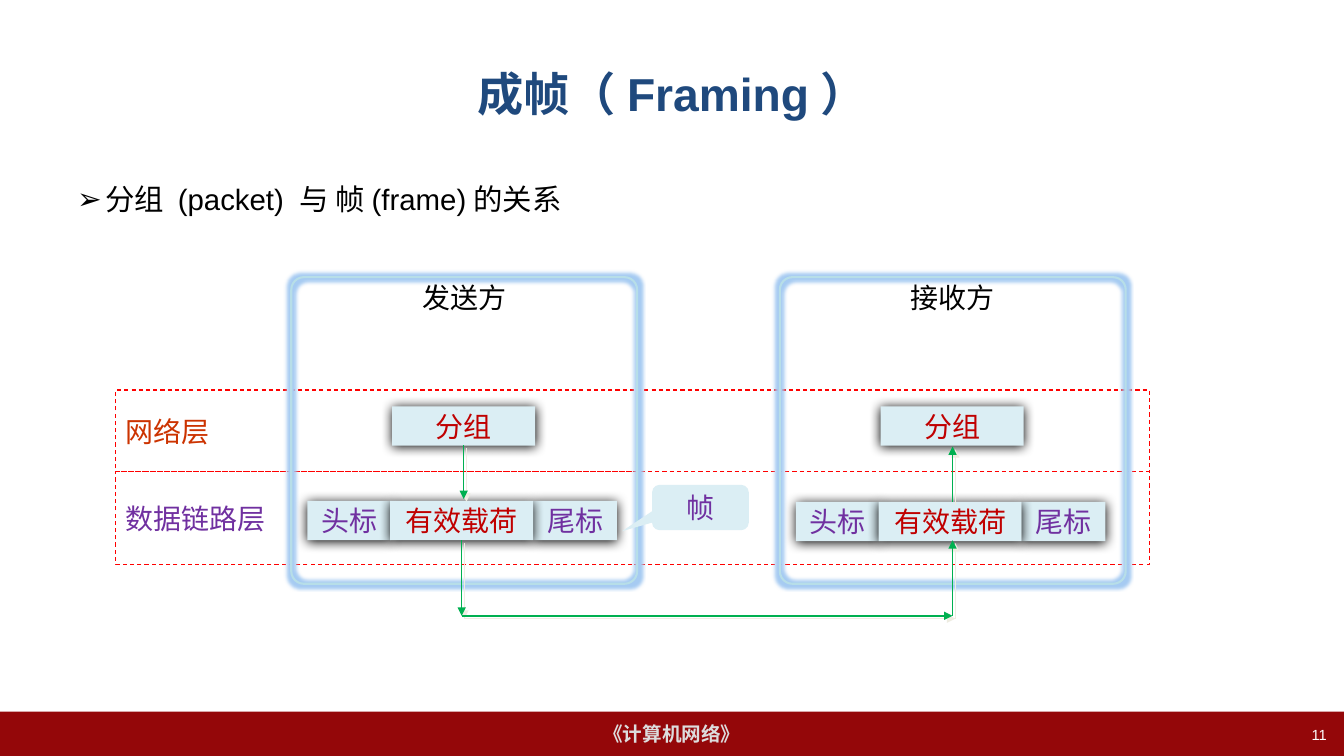
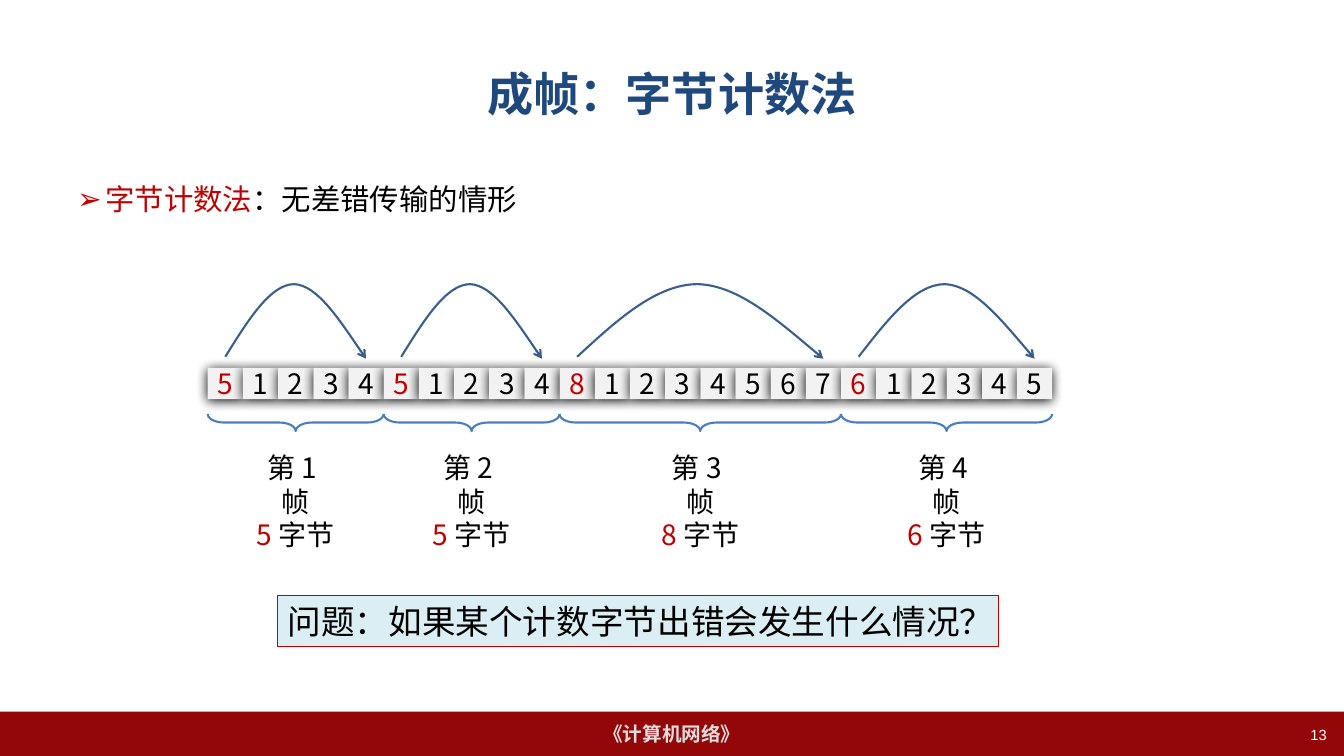
from lxml.etree import SubElement
from pptx import Presentation
from pptx.dml.color import RGBColor
from pptx.enum.dml import MSO_LINE
from pptx.enum.shapes import MSO_CONNECTOR, MSO_SHAPE
from pptx.enum.text import MSO_ANCHOR, PP_ALIGN
from pptx.oxml.ns import qn
from pptx.util import Pt

WIDE, HIGH = 960, 540
SANS, HAN = "Arial", "Noto Sans CJK SC"
BLACK, WHITE, RED, PURPLE = "000000", "FFFFFF", "C00000", "7030A0"
NAVY, MAROON, SILVER, ORANGE = "1F497D", "940709", "DDDDDD", "CC3300"
ICE, GREY, GREEN, BLUE = "DBEEF4", "F2F2F2", "00B050", "4B7EBC"
INSET = (7.2, 3.6, 7.2, 3.6)
LEFT, MID, RIGHT = PP_ALIGN.LEFT, PP_ALIGN.CENTER, PP_ALIGN.RIGHT


def hue(code):
    return RGBColor.from_string(code)


def emu(value):
    return str(int(Pt(value)))


def effect(shape, kind, color, **sizes):
    """Put one glow or outer shadow on a shape or connector."""
    props = shape._element.spPr
    box = props.find(qn("a:effectLst"))
    if box is None:
        box = SubElement(props, qn("a:effectLst"))
    item = SubElement(box, qn("a:" + kind), **sizes)
    SubElement(item, qn("a:srgbClr"), val=color)


class Deck:
    def __init__(self):
        self.file = Presentation()
        self.file.slide_width, self.file.slide_height = Pt(WIDE), Pt(HIGH)

    def page(self, title, number, point):
        """Start a slide with its band, title, bullet and number."""
        self.slide = self.file.slides.add_slide(self.file.slide_layouts[6])
        self.shapes = self.slide.shapes
        self.box((0, 508.3, WIDE, 31.7), [[("《计算机网络》", SILVER)]], MAROON,
                 size=14, font=SANS, bold=True)
        self.text((48, 21.6, 864, 90), [[(title, NAVY)]], 33, SANS, MID, True,
                  MSO_ANCHOR.MIDDLE)
        self.bullet((48, 126, 864, 356.4), point)
        self.text((730.8, 514.8, 223.9, 25.2), [[(str(number), WHITE)]], 10.5,
                  SANS, RIGHT)

    def label(self, shape, paras, size, font, align, bold=False,
              anchor=MSO_ANCHOR.TOP, inset=INSET):
        frame = shape.text_frame
        frame.word_wrap, frame.vertical_anchor = True, anchor
        (frame.margin_left, frame.margin_top,
         frame.margin_right, frame.margin_bottom) = map(Pt, inset)
        for i, runs in enumerate(paras):
            para = frame.add_paragraph() if i else frame.paragraphs[0]
            para.alignment = align
            for words, color in runs:
                run = para.add_run()
                run.text = words
                face = run.font
                face.size, face.bold, face.name = Pt(size), bold, font
                face.color.rgb = hue(color)
                SubElement(run._r.get_or_add_rPr(), qn("a:ea"), typeface=HAN)

    def text(self, area, paras, size=20, font=HAN, align=MID, bold=False,
             anchor=MSO_ANCHOR.TOP):
        shape = self.shapes.add_textbox(*map(Pt, area))
        self.label(shape, paras, size, font, align, bold, anchor)
        return shape

    def bullet(self, area, runs):
        shape = self.text(area, [runs], 21, SANS, LEFT)
        props = shape.text_frame.paragraphs[0]._p.get_or_add_pPr()
        props.set("marL", emu(20.2))
        props.set("indent", emu(-20.2))
        SubElement(props, qn("a:buFont"), typeface=SANS)
        SubElement(props, qn("a:buChar"), char="➢")

    def box(self, area, paras=(), fill=None, line=None, width=0.75,
            kind=MSO_SHAPE.RECTANGLE, adjust=(), size=20, font=HAN, align=MID,
            bold=False, anchor=MSO_ANCHOR.MIDDLE, inset=INSET):
        shape = self.shapes.add_shape(kind, *map(Pt, area))
        shape.shadow.inherit = False
        for i, value in enumerate(adjust):
            shape.adjustments[i] = value
        if fill:
            shape.fill.solid()
            shape.fill.fore_color.rgb = hue(fill)
        else:
            shape.fill.background()
        if line:
            self.stroke(shape, line, width)
        else:
            shape.line.fill.background()
        self.label(shape, paras, size, font, align, bold, anchor, inset)
        return shape

    def tile(self, area, words, color, fill=ICE):
        shape = self.box(area, [[(words, color)]], fill, inset=(0, 0, 0, 0))
        effect(shape, "outerShdw", BLACK, blurRad=emu(8.5), dist=emu(1),
               dir="5400000", algn="t", rotWithShape="0")

    def stroke(self, shape, color, width, head=None):
        shape.line.color.rgb = hue(color)
        shape.line.width = Pt(width)
        if head:
            line = shape._element.spPr.find(qn("a:ln"))
            SubElement(line, qn("a:tailEnd"), type=head)

    def arrow(self, start, end):
        line = self.shapes.add_connector(MSO_CONNECTOR.STRAIGHT,
                                         *map(Pt, start + end))
        self.stroke(line, GREEN, 1, "triangle")
        effect(line, "outerShdw", "EEECE1", dist=emu(2.8), dir="2700000",
               algn="ctr", rotWithShape="0")

    def arc(self, left, right):
        """Draw a curved arrow that leaps from left to right."""
        steps = [(0, 254.9), (0.16, 229), (0.32, 203), (0.49, 203),
                 (0.65, 203.8), (0.82, 229.7), (1, 256.3)]
        spots = [(Pt(left + (right - left) * x), Pt(y)) for x, y in steps]
        pen = self.shapes.build_freeform(*spots[0], scale=1.0)
        pen.add_line_segments(spots[1:], close=False)
        shape = pen.convert_to_shape()
        shape.shadow.inherit = False
        shape.fill.background()
        self.stroke(shape, "3A5F8C", 1.5, "arrow")
        track = next(shape._element.iter(qn("a:path")))
        lines = track.findall(qn("a:lnTo"))
        for i in range(0, len(lines), 3):
            curve = SubElement(track, qn("a:cubicBezTo"))
            for line in lines[i:i + 3]:
                curve.append(line[0])
                track.remove(line)

    def brace(self, left, span, top, deep=12.2):
        """Draw a brace under a span, its tip pointing down."""
        area = (left + (span - deep) / 2, top + (deep - span) / 2, deep, span)
        shape = self.box(area, line=BLUE, width=1.5, kind=MSO_SHAPE.LEFT_BRACE,
                         adjust=(0.951, 0.5))
        shape.rotation = 270


def relation(deck):
    """Show how packets and frames relate."""
    deck.page("成帧（Framing）", 11, [("分组 (packet) 与 帧(frame)的关系", BLACK)])
    for top, high, name, color in ((337, 66.2, "数据链路层", PURPLE),
                                   (278.6, 58.4, "网络层", ORANGE)):
        layer = deck.box((82.8, top, 738, high), [[(name, color)]],
                         line="FF0000", align=LEFT)
        layer.line.dash_style = MSO_LINE.DASH
    for shift, drop, name in ((0, 0, "发送方"), (349, 0.7, "接收方")):
        deck.tile((280.1 + shift, 290.2, 102.2, 28.1), "分组", RED)
        host = deck.box((208.1 + shift, 198, 247, 219), [[(name, BLACK)]],
                        line="B7DEE8", width=1.5,
                        kind=MSO_SHAPE.ROUNDED_RECTANGLE, adjust=(0.041,),
                        anchor=MSO_ANCHOR.TOP, inset=(0, 0, 0, 0))
        effect(host, "glow", "A6CBF2", rad=emu(5))
        for left, wide, part, color in ((219.6, 59.8, "头标", PURPLE),
                                        (380.9, 59.8, "尾标", PURPLE),
                                        (278.6, 102.2, "有效载荷", RED)):
            deck.tile((left + shift, 357.8 + drop, wide, 28.1), part, color)
    send, take, floor = 329.8, 680.4, 439.9
    deck.arrow((331.2, 318.2), (331.2, 356.4))
    deck.arrow((take, 358.6), (take, 319))
    deck.arrow((send, 385.9), (send, floor))
    deck.arrow((take, floor), (take, 385.9))
    deck.arrow((send, floor), (take, floor))
    deck.box((465.8, 346.3, 69.1, 32.4), [[("帧", PURPLE)]], ICE,
             kind=MSO_SHAPE.ROUNDED_RECTANGULAR_CALLOUT,
             adjust=(-0.811, 0.523, 0.167), inset=(0, 0, 0, 0))


def count(deck):
    """Show byte counts that mark out frames."""
    deck.page("成帧：字节计数法", 13,
              [("字节计数法", RED), ("：无差错传输的情形", BLACK)])
    left, cell = 148.4, 25.13
    for order, size in enumerate((5, 5, 8, 6), 1):
        span = size * cell
        deck.brace(left, span, 295.7)
        deck.text((left + span / 2 - 37.4, 318.2, 74.8, 55.4),
                  [[(f"第{order}帧", BLACK)],
                   [(str(size), RED), ("字节", BLACK)]])
        for i in range(size):
            deck.tile((left + i * cell, 262.8, cell, 22.3), str(i or size),
                      BLACK if i else RED, GREY)
        deck.arc(left + cell / 2, left + span - cell / 2)
        left += span
    deck.box((198.5, 425.5, 515, 36.3),
             [[("问题：如果某个计数字节出错会发生什么情况？", BLACK)]], ICE, RED,
             size=24, font=SANS, align=LEFT)


def main():
    deck = Deck()
    relation(deck)
    count(deck)
    deck.file.save("out.pptx")


if __name__ == "__main__":
    main()
